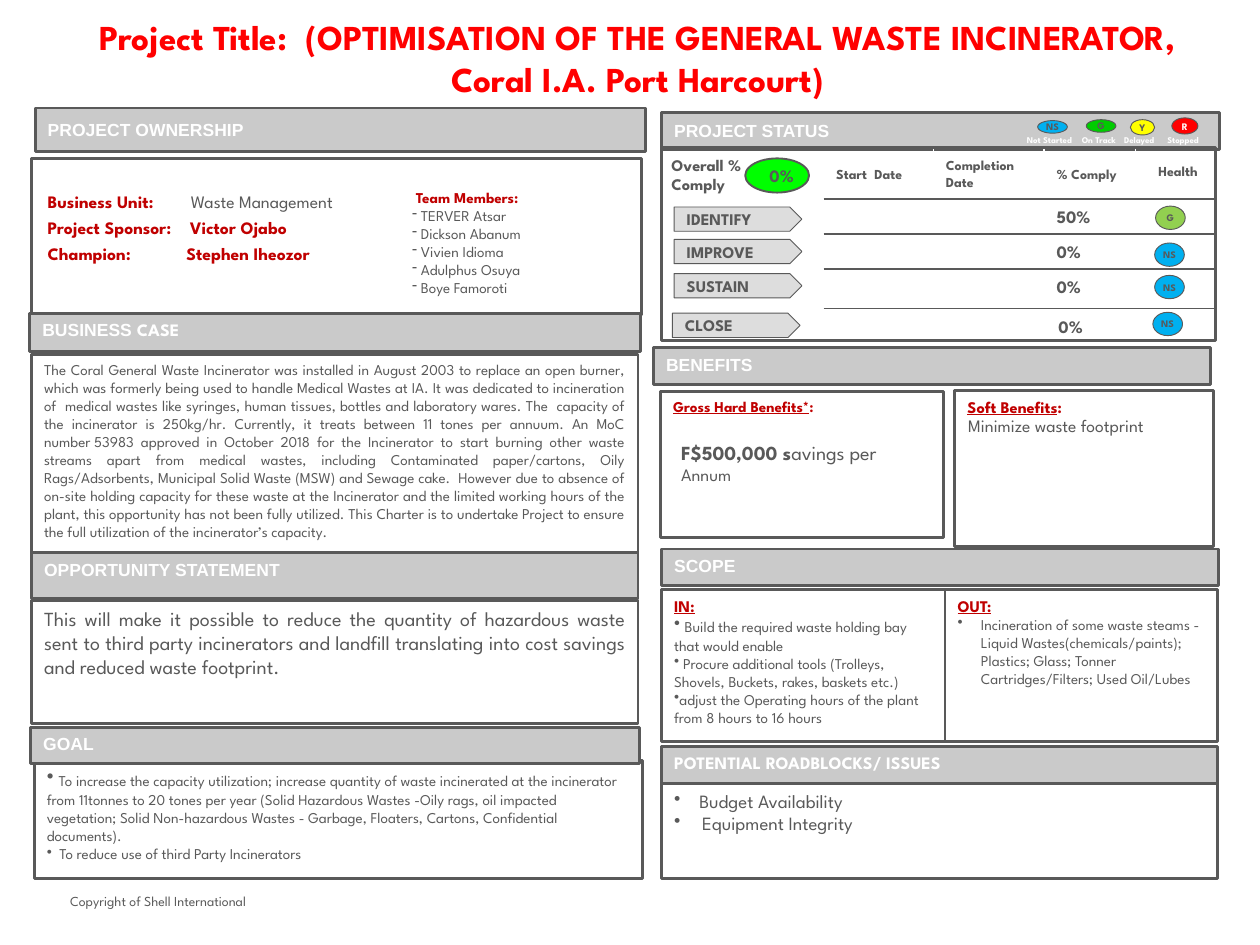
import pptx
import pptx.util
import pptx.dml.color
import pptx.enum.shapes
import pptx.enum.text
import pptx.oxml.ns
import lxml.etree

Inches, Pt = pptx.util.Inches, pptx.util.Pt
RGBColor = pptx.dml.color.RGBColor
SHAPE = pptx.enum.shapes.MSO_SHAPE
ALIGN = pptx.enum.text.PP_ALIGN
ANCHOR = pptx.enum.text.MSO_ANCHOR
qn = pptx.oxml.ns.qn

GREY = RGBColor(0x59, 0x59, 0x59)
BAR = RGBColor(0xCA, 0xCA, 0xCA)
PALE = RGBColor(0xDD, 0xDD, 0xDD)
WHITE = RGBColor(0xFF, 0xFF, 0xFF)
CRIMSON = RGBColor(0xC0, 0x00, 0x00)
RED = RGBColor(0xFF, 0x00, 0x00)
YELLOW = RGBColor(0xFF, 0xFF, 0x00)
GREEN = RGBColor(0x00, 0xCC, 0x00)
BRIGHT_GREEN = RGBColor(0x00, 0xFF, 0x00)
LIGHT_GREEN = RGBColor(0x92, 0xD0, 0x50)
BLUE = RGBColor(0x00, 0xB0, 0xF0)
BODY_FONT = "League Spartan"
INSETS = (0.14, 0.07, 0.14, 0.07)

presentation = pptx.Presentation()
presentation.slide_width = Inches(14)
presentation.slide_height = Inches(10.5)
slide = presentation.slides.add_slide(presentation.slide_layouts[6])


def add_outlined(kind, at, fill=None, weight=2.25):
    shape = slide.shapes.add_shape(kind, *map(Inches, at))
    shape.shadow.inherit = False
    if fill is None:
        shape.fill.background()
    else:
        shape.fill.solid()
        shape.fill.fore_color.rgb = fill
    shape.line.color.rgb = GREY
    shape.line.width = Pt(weight)
    return shape


def write(target, lines, size, color=GREY, bold=False, font=BODY_FONT, align=ALIGN.LEFT,
          anchor=ANCHOR.TOP, wrap=True, insets=INSETS, bullets=None):
    """Fill a shape, or a new text box at a position. "|" parts the runs of a line;
    bullets maps a line number to its bullet sign and hanging indent in inches."""
    if isinstance(target, tuple):
        target = slide.shapes.add_textbox(*map(Inches, target))
    frame = target.text_frame
    frame.word_wrap = wrap
    frame.vertical_anchor = anchor
    frame.margin_left, frame.margin_top, frame.margin_right, frame.margin_bottom = map(Inches, insets)
    frame.text = "\n".join(lines)
    for number, (paragraph, line) in enumerate(zip(frame.paragraphs, lines)):
        paragraph.alignment = align
        if number in (bullets or {}):
            sign, indent = bullets[number]
            properties = paragraph._p.get_or_add_pPr()
            properties.set("marL", str(Inches(indent)))
            properties.set("indent", str(-Inches(indent)))
            lxml.etree.SubElement(properties, qn("a:buChar")).set("char", sign)
        first, *others = line.split("|")
        paragraph.text = first
        for text in others:
            paragraph.add_run().text = text
        for run in paragraph.runs:
            run.font.size = Pt(size)
            run.font.name = font
            run.font.bold = bold
            run.font.color.rgb = color
    return frame.paragraphs


# Copyright and title
write((0.78, 9.92, 3.5, 0.36), ["Copyright of Shell International"], 11, wrap=False, insets=(0, 0, 0, 0.07))
write((0.51, 0.1, 13.15, 1.08),
      ["Project Title:  (OPTIMISATION OF THE GENERAL WASTE INCINERATOR, Coral I.A. Port Harcourt)"],
      28, RED, True, align=ALIGN.CENTER, insets=(0.13, 0.07, 0.13, 0.07))

# Project ownership
ownership = write(add_outlined(SHAPE.RECTANGLE, (0.35, 1.76, 6.78, 1.74)),
                  ["Business Unit:\t|Waste Management", "Project Sponsor:\tVictor Ojabo",
                   "Champion:\tStephen Iheozor"], 14, CRIMSON, True, insets=(0.18, 0.36, 0.14, 0.07))
for paragraph, stop in zip(ownership, (1.59, 1.58, 1.54)):
    tabs = lxml.etree.SubElement(paragraph._p.get_or_add_pPr(), qn("a:tabLst"))
    lxml.etree.SubElement(tabs, qn("a:tab"), pos=str(Inches(stop)), algn="l")
for paragraph in ownership[1:]:
    paragraph.space_before = Pt(4.2)
ownership[0].runs[1].font.bold = False
ownership[0].runs[1].font.color.rgb = GREY

members = write((4.44, 2.02, 2.33, 1.37),
                ["Team Members:", " TERVER Atsar", " Dickson Abanum", " Vivien Idioma",
                 " Adulphus Osuya", " Boye Famoroti"],
                12, bullets={number: ("-", 0) for number in range(1, 6)})
members[0]._p.get_or_add_pPr().set("marL", str(Inches(0.04)))
members[0].runs[0].font.bold = True
members[0].runs[0].font.color.rgb = CRIMSON

# Left column panels
write(add_outlined(SHAPE.RECTANGLE, (0.35, 6.67, 6.74, 1.37)),
      ["This will make it possible to reduce the quantity of hazardous waste sent to third party incinerators "
       "and landfill translating into cost savings and reduced waste footprint."], 16, align=ALIGN.JUSTIFY)
business_case = [
    "The Coral General Waste Incinerator was installed in August 2003 to replace an open burner, which was "
    "formerly being used to handle Medical Wastes at IA.",
    "It was dedicated to incineration of  medical wastes like syringes, human tissues, bottles and laboratory wares.",
    "The  capacity of the incinerator is 250kg/hr. Currently, it treats between 11 tones per annuum.",
    "An MoC number\u00a053983 approved in October 2018 for the Incinerator to start burning other waste streams apart "
    "from medical wastes, including Contaminated paper/cartons, Oily Rags/Adsorbents, Municipal Solid Waste (MSW) "
    "and Sewage cake. ",
    "However due to absence of on-site holding capacity for these waste at the Incinerator and the limited working "
    "hours of the plant, this opportunity has not been fully utilized.",
    "This Charter is to undertake Project to ensure the full utilization of the incinerator’s capacity."]
write(add_outlined(SHAPE.RECTANGLE, (0.35, 3.94, 6.74, 2.2)), [" ".join(business_case)], 12, align=ALIGN.JUSTIFY)
goals = write(add_outlined(SHAPE.RECTANGLE, (0.38, 8.45, 6.76, 1.31)),
              [" |To increase the capacity utilization; increase quantity of waste incinerated at the incinerator from "
               "11tonnes to 20 tones per year (Solid Hazardous Wastes -Oily rags, oil impacted vegetation; Solid "
               "Non-hazardous Wastes - Garbage, Floaters, Cartons, Confidential documents).",
               "To reduce use of third Party Incinerators"], 12, bullets={0: ("•", 0), 1: ("•", 0.14)})
goals[0].runs[0].font.size = Pt(16)

# Scope
scope_in = write(add_outlined(SHAPE.RECTANGLE, (7.35, 6.55, 3.15, 1.69)),
                 ["IN:", " |Build the required waste holding bay that would enable",
                  " Procure additional tools (Trolleys, Shovels, Buckets, rakes, baskets etc.)",
                  "adjust the Operating hours of the plant from 8 hours to 16 hours"],
                 12, bullets={number: ("•", 0) for number in (1, 2, 3)})
scope_in[1].runs[0].font.size = Pt(14)
scope_out = write(add_outlined(SHAPE.RECTANGLE, (10.5, 6.55, 3.03, 1.69)),
                  ["OUT:", "Incineration of some waste steams - Liquid Wastes(chemicals/paints); Plastics; Glass; "
                   "Tonner Cartridges/Filters; Used Oil/Lubes"], 12, bullets={1: ("•", 0.26)})
for heading in (scope_in[0], scope_out[0]):
    font = heading.runs[0].font
    font.size, font.bold, font.underline = Pt(13), True, True
    font.color.rgb = CRIMSON

# Roadblocks
write(add_outlined(SHAPE.RECTANGLE, (7.35, 8.7, 6.18, 1.06)), ["Budget Availability", "Equipment Integrity"],
      15, bullets={0: ("•", 0.28), 1: ("•", 0.31)})

# Benefits
for at, text, size in (((7.34, 4.35, 3.14, 1.62), "Gross Hard Benefits*|:", 12),
                       ((10.61, 4.34, 2.87, 1.73), "Soft Benefits|:", 13)):
    heading = write(add_outlined(SHAPE.RECTANGLE, at), [text], size, CRIMSON, True)[0]
    heading.runs[0].font.underline = True
savings = write((7.47, 4.84, 2.77, 0.61), ["F$500,000 s|avings per |Annum"], 16, insets=(0.1, 0.05, 0.1, 0.05))
savings[0].runs[0].font.bold = True
savings[0].runs[2].font.size = Pt(14)
write((10.66, 4.56, 2.81, 0.76), ["Minimize waste footprint"], 14, insets=(0.1, 0.05, 0.1, 0.05))

# Section bars
for at, text, font, anchor in (
        ((0.39, 1.2, 6.78, 0.48), "PROJECT OWNERSHIP", "Arial", ANCHOR.MIDDLE),
        ((0.33, 3.48, 6.79, 0.43), "BUSINESS |CASE", "Arial", ANCHOR.TOP),
        ((0.35, 6.14, 6.74, 0.51), "OPPORTUNITY STATEMENT", "Arial", ANCHOR.TOP),
        ((0.34, 8.08, 6.77, 0.4), "GOAL", "Arial", ANCHOR.TOP),
        ((7.35, 1.25, 6.2, 0.41), "PROJECT STATUS", "Arial", ANCHOR.MIDDLE),
        ((7.26, 3.86, 6.19, 0.41), "BENEFITS", "Arial", ANCHOR.TOP),
        ((7.35, 6.1, 6.19, 0.41), "SCOPE", "Arial", ANCHOR.TOP),
        ((7.35, 8.29, 6.18, 0.42), "POTENTIAL ROADBLOCKS/ ISSUES", BODY_FONT, ANCHOR.TOP)):
    title = write(add_outlined(SHAPE.RECTANGLE, at, BAR), [text], 14, WHITE, True, font, anchor=anchor)[0]
    for run in title.runs[1:]:
        run.font.name = BODY_FONT

# Status table: rules, headings, phases
rules = [(x, 1.65, x, 2.21, WHITE) for x in (10.37, 11.6, 12.62)]
rules += [(9.15, y, 13.49, y, GREY) for y in (2.21, 2.6, 2.99, 3.43)]
for x1, y1, x2, y2, color in rules:
    rule = slide.shapes.add_connector(pptx.enum.shapes.MSO_CONNECTOR.STRAIGHT, *map(Inches, (x1, y1, x2, y2)))
    rule.line.color.rgb = color
    rule.line.width = Pt(1)
    lxml.etree.SubElement(rule._element.spPr, qn("a:effectLst"))
add_outlined(SHAPE.RECTANGLE, (7.35, 1.64, 6.16, 2.14))

write((7.32, 1.65, 1.15, 0.58), ["Overall % Comply"], 13, bold=True)
write(add_outlined(SHAPE.OVAL, (8.28, 1.76, 0.71, 0.38), BRIGHT_GREEN, 1.5), ["0%"], 14, bold=True,
      align=ALIGN.CENTER, anchor=ANCHOR.MIDDLE, wrap=False, insets=(0.24, 0.07, 0.14, 0.07))
for left, top, width, text, inset in ((9.15, 1.65, 1.22, "Start  Date", 0.14),
                                      (10.37, 1.65, 1.23, "Completion Date", 0.14),
                                      (11.6, 1.65, 1.02, "% Comply", 0.14),
                                      (12.62, 1.62, 0.88, "Health", 0.25)):
    write((left, top, width, 0.56), [text], 11, bold=True, anchor=ANCHOR.MIDDLE, insets=(inset, 0.07, 0.14, 0.07))

ovals = [((11.53, 1.34, 0.33, 0.14), "NS", BLUE, GREY), ((12.07, 1.33, 0.33, 0.14), "G", GREEN, GREY),
         ((12.56, 1.33, 0.27, 0.17), "Y", YELLOW, GREY), ((13.02, 1.31, 0.29, 0.18), "R", RED, WHITE)]
for phase, arrow, percent, percent_at, health, health_at, fill in (
        ("IDENTIFY", (7.49, 2.3), "50%", (11.6, 2.21), "G", (12.84, 2.29), LIGHT_GREEN),
        ("IMPROVE", (7.49, 2.66), "0%", (11.6, 2.6), "NS", (12.83, 2.7), BLUE),
        ("SUSTAIN", (7.49, 3.04), "0%", (11.6, 2.99), "NS", (12.83, 3.06), BLUE),
        ("CLOSE", (7.47, 3.48), "0%", (11.62, 3.43), "NS", (12.81, 3.47), BLUE)):
    write(add_outlined(SHAPE.PENTAGON, (*arrow, 1.42, 0.27), PALE, 0.75), [phase], 13, bold=True,
          anchor=ANCHOR.MIDDLE, wrap=False)
    write((*percent_at, 1.02, 0.39), [percent], 14, bold=True, anchor=ANCHOR.MIDDLE)
    ovals.append(((*health_at, 0.33, 0.26), health, fill, GREY))

# Health marks and legend
for at, text, fill, color in ovals:
    write(add_outlined(SHAPE.OVAL, at, fill, 0.75), [text], 8, color, True, align=ALIGN.CENTER,
          anchor=ANCHOR.MIDDLE, wrap=False)
for left, top, width, text in ((11.41, 1.49, 0.61, "Not Started"), (12.02, 1.49, 0.44, "On Track"),
                               (12.49, 1.5, 0.44, "Delayed"), (12.97, 1.49, 0.44, "Stopped")):
    write((left, top, width, 0.12), [text], 7, WHITE, True, anchor=ANCHOR.MIDDLE, wrap=False, insets=(0, 0, 0, 0))

presentation.save("out.pptx")
